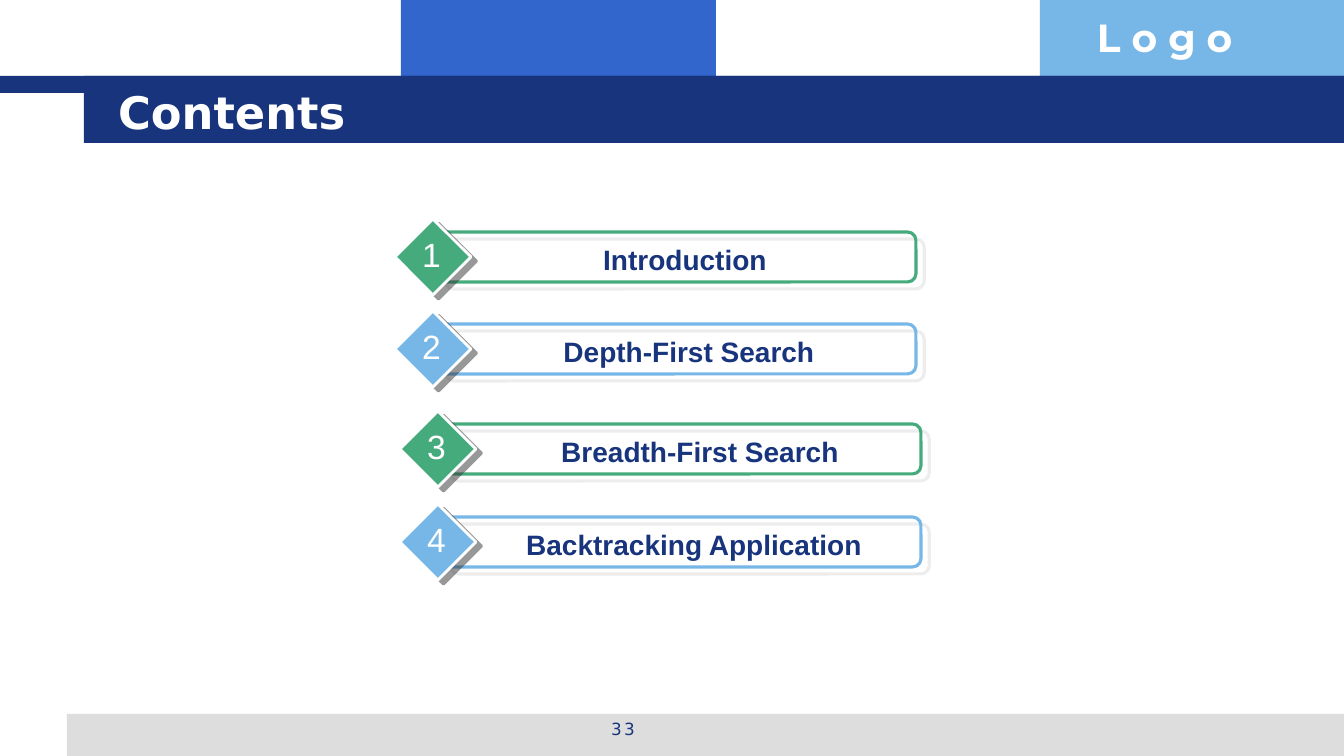
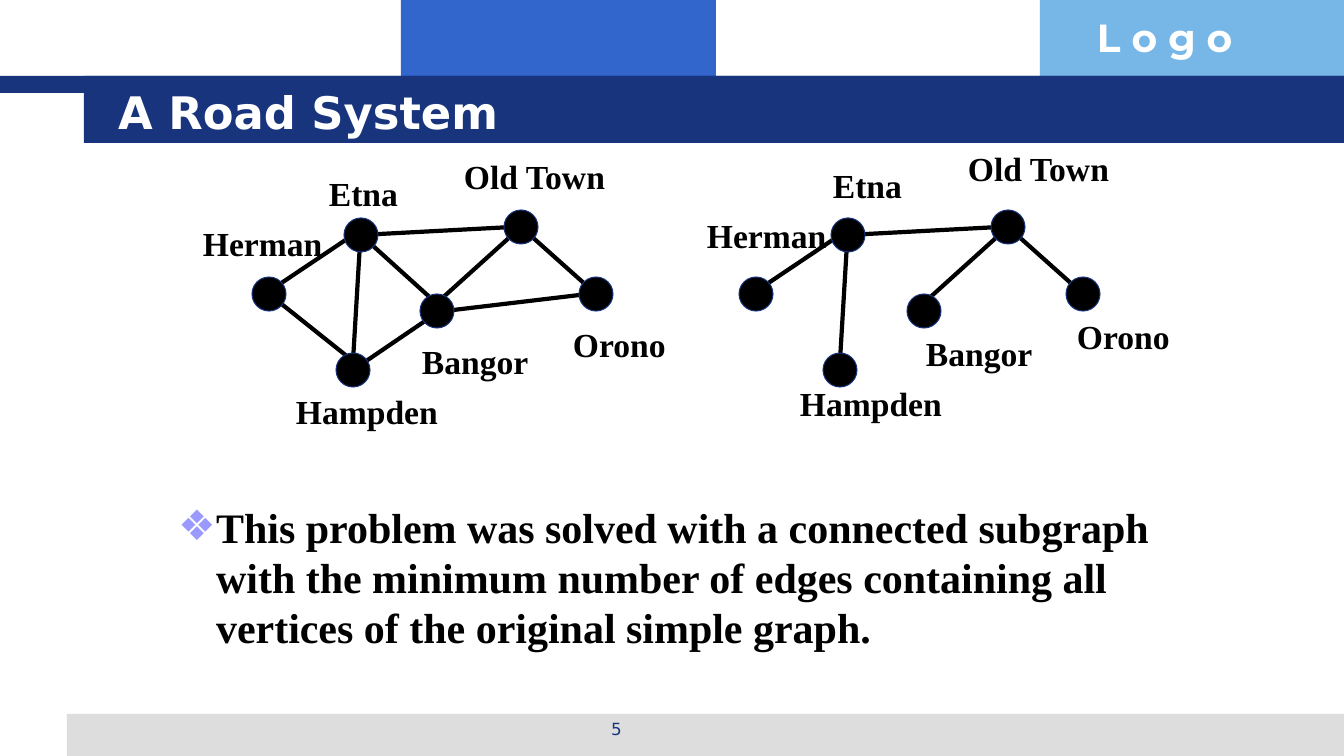
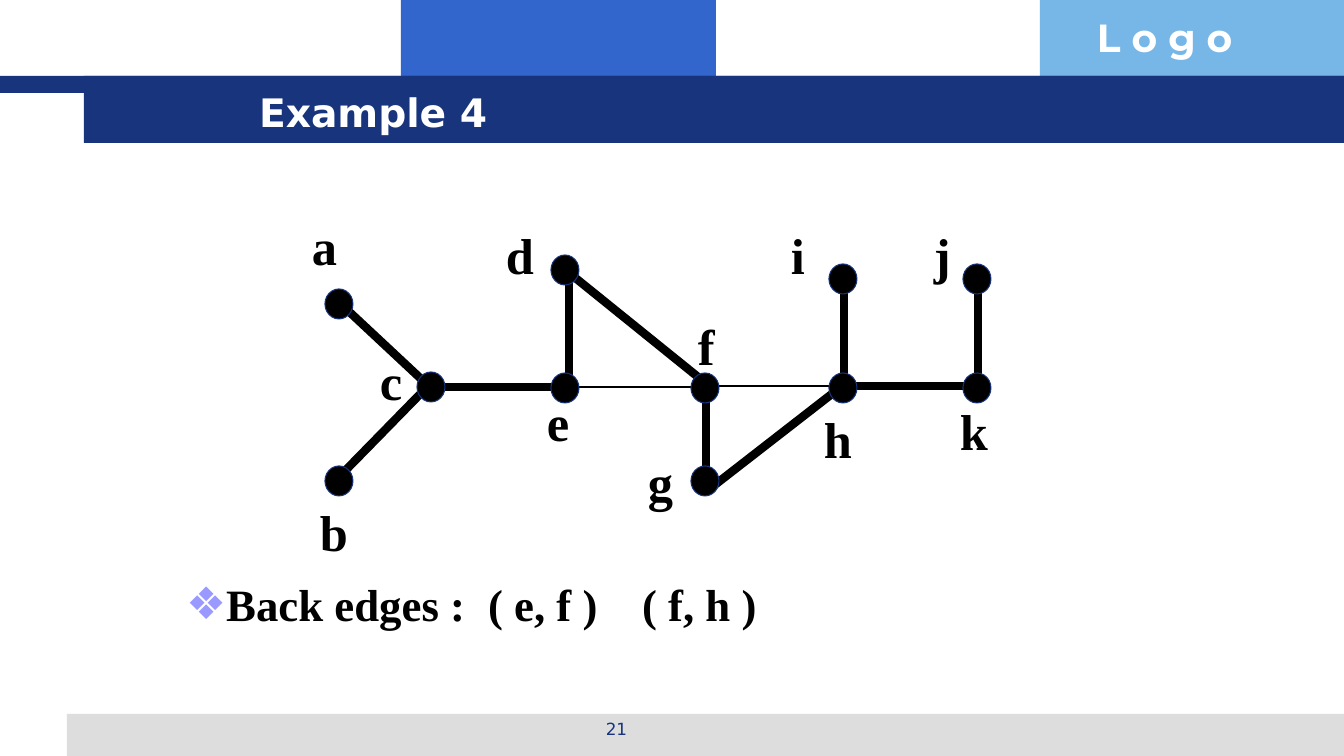
from lxml import etree
from pptx import Presentation
from pptx.dml.color import RGBColor
from pptx.enum.shapes import MSO_CONNECTOR, MSO_SHAPE
from pptx.enum.text import MSO_ANCHOR, MSO_AUTO_SIZE, PP_ALIGN
from pptx.oxml.ns import qn
from pptx.util import Emu, Pt

# Enum members
RECTANGLE, ROUNDED = MSO_SHAPE.RECTANGLE, MSO_SHAPE.ROUNDED_RECTANGLE
DIAMOND, OVAL = MSO_SHAPE.DIAMOND, MSO_SHAPE.OVAL
STRAIGHT = MSO_CONNECTOR.STRAIGHT
LEFT, CENTER = PP_ALIGN.LEFT, PP_ALIGN.CENTER
TOP, MIDDLE = MSO_ANCHOR.TOP, MSO_ANCHOR.MIDDLE
FIXED = MSO_AUTO_SIZE.NONE

# Style
NAVY = RGBColor(0x17, 0x34, 0x7D)
BLUE = RGBColor(0x33, 0x66, 0xCC)
SKY = RGBColor(0x77, 0xB7, 0xE7)
GREEN = RGBColor(0x45, 0xAB, 0x7D)
GREY = RGBColor(0xDD, 0xDD, 0xDD)
DARK = RGBColor(0x33, 0x33, 0x33)
LILAC = RGBColor(0x99, 0x99, 0xFF)
BLACK = RGBColor(0, 0, 0)
WHITE = RGBColor(0xFF, 0xFF, 0xFF)
SANS, SERIF, HEAD, BRAND = "Arial", "Times New Roman", "DejaVu Sans", "Montserrat"

# Size in px; the slide is 13.33 inches wide
WIDTH, HEIGHT = 1344, 756
EMU_PER_PX = 12192000 / WIDTH
HANGING = 38
TITLE_ONLY, TITLE_AND_BODY = 5, 1


def px(length):
    return Emu(round(length * EMU_PER_PX))


class Deck:
    """Holds the style, the presentation and the current slide."""

    def __init__(self):
        self.show = Presentation()
        self.show.slide_width, self.show.slide_height = px(WIDTH), px(HEIGHT)
        self.page = None

    def new_page(self, layout, title, number_text, title_left=108, title_size=32):
        first = self.page is None
        self.page = self.show.slides.add_slide(self.show.slide_layouts[layout])
        if first:
            self.master_frame()
        self.placeholder(0, (title_left, 81, 1147, 62), title, title_size, HEAD, WHITE, MIDDLE)
        self.page_number(number_text)

    def master_frame(self):
        """Draw the shared bands and move them to the slide master."""
        frame = [
            self.shape(RECTANGLE, (401, 0, 315, 93), BLUE),
            self.shape(RECTANGLE, (1040, 0, 304, 93), SKY),
            self.shape(RECTANGLE, (67, 714, 1277, 42), GREY),
            self.shape(RECTANGLE, (0, 76, WIDTH, 17), NAVY),
            self.shape(RECTANGLE, (84, 76, 1260, 67), NAVY),
            self.text((1087, 8, 257, 57), "L o g o", 28, BRAND, WHITE, bold=True),
        ]
        for number, shape in enumerate(frame, 101):
            shape.element.nvSpPr.cNvPr.set("id", str(number))
            self.show.slide_master.shapes.element.append(shape.element)

    def page_number(self, number_text, left=460, width=313):
        self.text((left, 714, width, 35), number_text, 12, HEAD, NAVY, align=CENTER)

    def shape(self, kind, area, fill=None, line=None, width=0.75, shadow=None):
        shape = self.page.shapes.add_shape(kind, *map(px, area))
        shape.shadow.inherit = False
        if fill is None:
            shape.fill.background()
        else:
            shape.fill.solid()
            shape.fill.fore_color.rgb = fill
        if line is None:
            shape.line.fill.background()
        else:
            shape.line.color.rgb = line
            shape.line.width = Pt(width)
        if shadow:
            self.shadow(shape, *shadow)
        return shape

    def shadow(self, shape, color, distance, angle):
        effects = shape.element.spPr.find(qn("a:effectLst"))
        outer = etree.SubElement(effects, qn("a:outerShdw"), blurRad="0", dist=str(Pt(distance)),
                                 dir=str(angle * 60000), algn="ctr", rotWithShape="0")
        tone = etree.SubElement(outer, qn("a:srgbClr"), val=str(color))
        etree.SubElement(tone, qn("a:alpha"), val="50000")

    def line(self, start, end, width):
        line = self.page.shapes.add_connector(STRAIGHT, *map(px, (*start, *end)))
        line.line.color.rgb = BLACK
        line.line.width = Pt(width)
        etree.SubElement(line.element.spPr, qn("a:effectLst"))

    def fill_text(self, frame, content, size, font, color, bold, align):
        para = frame.paragraphs[0]
        para.text = content
        para.alignment = align
        para.font.size, para.font.name, para.font.bold = Pt(size), font, bold
        para.font.color.rgb = color
        return para

    def text(self, area, content, size, font, color, bold=False, align=LEFT, wrap=True):
        box = self.page.shapes.add_textbox(*map(px, area))
        box.text_frame.word_wrap = wrap
        self.fill_text(box.text_frame, content, size, font, color, bold, align)
        return box

    def placeholder(self, index, area, content, size, font, color, anchor):
        holder = self.page.placeholders[index]
        holder.left, holder.top, holder.width, holder.height = map(px, area)
        frame = holder.text_frame
        frame.auto_size, frame.vertical_anchor = FIXED, anchor
        return self.fill_text(frame, content, size, font, color, True, LEFT)

    def bullet(self, area, content, size, tabs=()):
        """Fill the body placeholder with one bulleted paragraph."""
        para = self.placeholder(1, area, content, size, SERIF, BLACK, TOP)
        para.space_before = Pt(size * 0.2)
        props = para._p.get_or_add_pPr()
        props.set("marL", str(px(HANGING)))
        props.set("indent", str(px(-HANGING)))
        mark_color = etree.Element(qn("a:buClr"))
        etree.SubElement(mark_color, qn("a:srgbClr"), val=str(LILAC))
        mark = etree.Element(qn("a:buChar"), char="❖")
        stops = etree.Element(qn("a:tabLst"))
        for stop in tabs:
            etree.SubElement(stops, qn("a:tab"), pos=str(px(stop)), algn="l")
        for part in (mark_color, mark, stops):
            props.find(qn("a:defRPr")).addprevious(part)

    def node(self, left, top, width, height):
        self.shape(OVAL, (left, top, width, height), BLACK, NAVY)

    def agenda_row(self, number, left, top, color, label, label_left, label_width):
        self.shape(ROUNDED, (left + 42, top + 13, 479, 50), None, color, 2.25, (GREY, 7.8, 40))
        self.shape(DIAMOND, (left, top, 76, 76), color, WHITE, 2, (DARK, 5, 37))
        self.text((label_left, top + 19, label_width, 43), label, 20, SANS, NAVY, True, CENTER)
        self.text((left + 17, top + 10, 39, 50), str(number), 24, SANS, WHITE,
                  align=CENTER, wrap=False)


# Contents: left, top, colour, label, label left, label width
AGENDA = [
    (395, 219, GREEN, "Introduction", 462, 446),
    (395, 311, SKY, "Depth-First Search", 471, 436),
    (400, 411, GREEN, "Breadth-First Search", 467, 466),
    (400, 504, SKY, "Backtracking Application", 476, 436),
]

# Road system: town centre, label left and top, label width
TOWNS = {
    "Etna": ((361, 235), (319, 168), 101),
    "Herman": ((269, 294), (193, 218), 151),
    "Hampden": ((353, 370), (286, 386), 168),
    "Bangor": ((437, 311), (412, 336), 143),
    "Old Town": ((521, 227), (454, 151), 176),
    "Orono": ((596, 294), (563, 319), 126),
}
TREE_ROADS = [
    ((353, 235), (277, 286)),
    ((605, 302), (521, 227)),
    ((361, 227), (353, 361)),
    ((512, 227), (361, 235)),
    ((521, 227), (428, 311)),
]
OTHER_ROADS = [
    ((353, 361), (269, 294)),
    ((428, 319), (353, 370)),
    ((588, 294), (445, 311)),
    ((445, 311), (361, 235)),
]
# Roads, shift of the towns, shift of the labels
ROAD_MAPS = [
    (TREE_ROADS + OTHER_ROADS, 0, (0, 0)),
    (TREE_ROADS, 487, (504, -8)),
]
TOWN_SIZE = 34

# Example 4: left and top of each vertex and of its label
VERTICES = {
    "a": ((325, 289), (302, 210)),
    "b": ((325, 466), (310, 496)),
    "c": ((417, 372), (370, 345)),
    "d": ((551, 255), (496, 219)),
    "e": ((551, 373), (537, 386)),
    "f": ((691, 373), (688, 310)),
    "g": ((691, 466), (638, 446)),
    "h": ((829, 373), (814, 403)),
    "i": ((829, 264), (781, 219)),
    "j": ((963, 264), (924, 219)),
    "k": ((963, 373), (950, 395)),
}
TREE_EDGES = [
    ((431, 387), (565, 387)),
    ((342, 305), (433, 390)),
    ((342, 474), (433, 381)),
    ((569, 272), (569, 390)),
    ((846, 386), (980, 386)),
    ((706, 373), (706, 491)),
    ((844, 272), (844, 390)),
    ((978, 272), (978, 390)),
    ((568, 272), (703, 381)),
    ((837, 390), (707, 491)),
]


def contents(deck):
    deck.new_page(TITLE_ONLY, "Contents", "3")
    deck.page_number("3", 512, 235)
    for number, row in enumerate(AGENDA, 1):
        deck.agenda_row(number, *row)


def road_system(deck):
    deck.new_page(TITLE_AND_BODY, "A Road System", "5")
    deck.bullet((168, 496, 1000, 218),
                "This problem was solved with a connected subgraph with the minimum number of "
                "edges containing all vertices of the original simple graph.", 30)
    for roads, shift, (label_x, label_y) in ROAD_MAPS:
        for (x1, y1), (x2, y2) in roads:
            deck.line((x1 + shift, y1), (x2 + shift, y2), 3)
        for town, ((x, y), (left, top), width) in TOWNS.items():
            deck.node(x + shift - TOWN_SIZE // 2, y - TOWN_SIZE // 2, TOWN_SIZE, TOWN_SIZE)
            deck.text((left + label_x, top + label_y, width, 50), town, 24, SERIF, BLACK, True)


def example(deck):
    deck.new_page(TITLE_AND_BODY, "Example 4", "21", 249, 28)
    for start, end in TREE_EDGES:
        deck.line(start, end, 6)
    # Back edges
    deck.line((569, 387), (703, 387), 1)
    deck.line((703, 386), (837, 386), 1.5)
    for name, (spot, label_spot) in VERTICES.items():
        deck.node(*spot, 28, 30)
        deck.text((*label_spot, 50, 67), name, 36, SERIF, BLACK, True)
    deck.bullet((176, 572, 991, 118), "Back edges :\t( e, f )\t( f, h )", 32, (302, 456))


def main():
    deck = Deck()
    contents(deck)
    road_system(deck)
    example(deck)
    deck.show.save("out.pptx")


if __name__ == "__main__":
    main()
